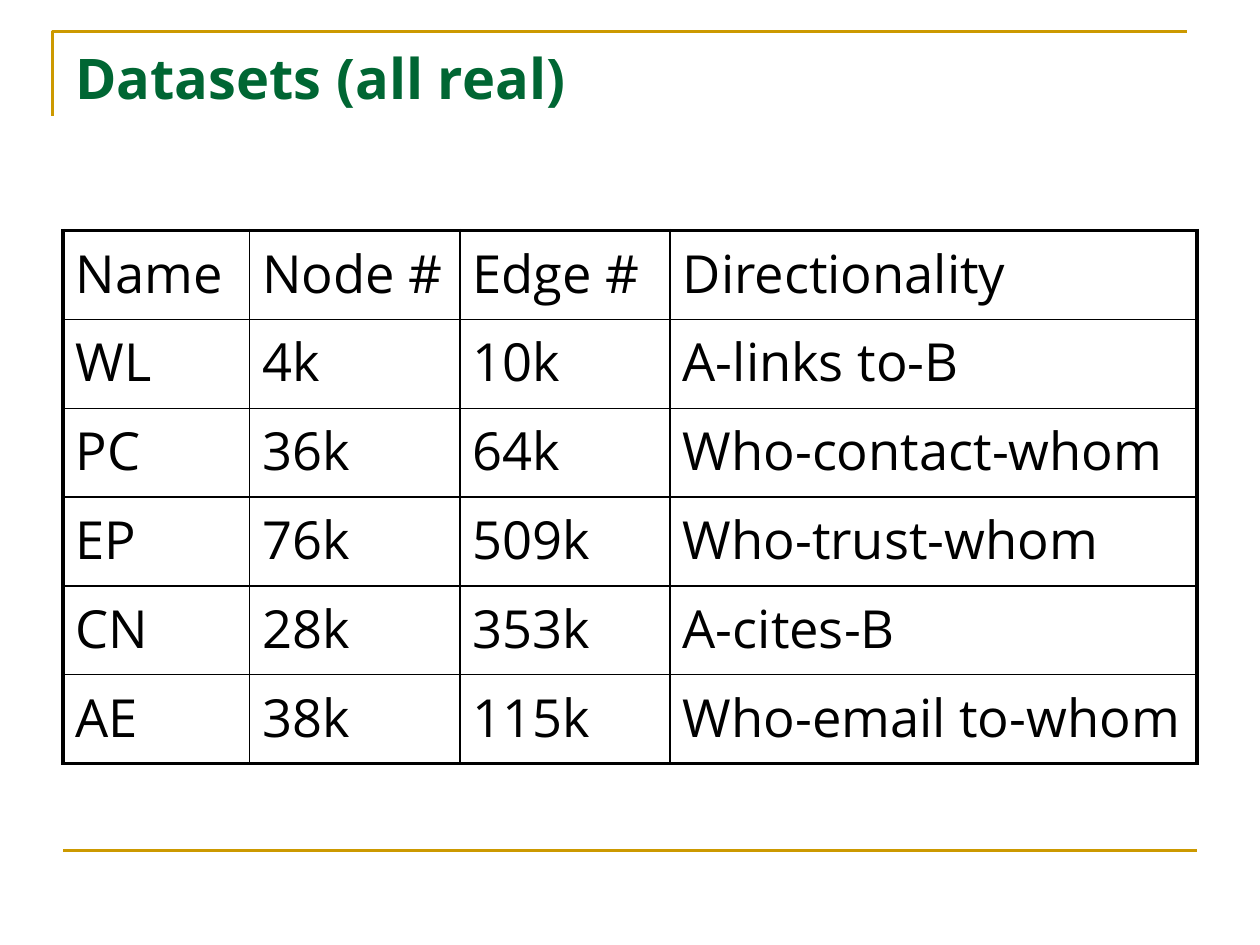
from lxml.etree import SubElement as Sub
from pptx import Presentation as Deck
from pptx.dml.color import RGBColor as Rgb
from pptx.enum.shapes import MSO_CONNECTOR as Link
from pptx.oxml.ns import qn
from pptx.util import Cm, Pt

HUES = {"gold": "CC9900", "green": "006633", "ink": "000000"}
HEAD = {"size": Pt(32), "bold": True, "name": "Open Sans"}
BODY = {"size": Pt(30), "bold": False, "name": "Open Sans"}
COLS = [3.76, 4.24, 4.24, 10.62]
TALL = 1.79
ROWS = [
    ["Name", "Node #", "Edge #", "Directionality"],
    ["WL", "4k", "10k", "A-links to-B"],
    ["PC", "36k", "64k", "Who-contact-whom"],
    ["EP", "76k", "509k", "Who-trust-whom"],
    ["CN", "28k", "353k", "A-cites-B"],
    ["AE", "38k", "115k", "Who-email to-whom"],
]


class Page:
    def __init__(self, slide):
        self.slide = slide
        self.shapes = slide.shapes
        self.thin, self.thick, self.rule = Pt(1), Pt(2.25), Pt(1.5)

    def label(self, para, text, style, hue):
        run = para.add_run()
        run.text = text
        for key, val in style.items():
            setattr(run.font, key, val)
        run.font.color.rgb = Rgb.from_string(HUES[hue])

    def ink(self, item):
        item.line.color.rgb = Rgb.from_string(HUES["gold"])
        item.line.width = self.rule

    def frame(self, points):
        """Draw an open outline through the points."""
        first, *rest = [(Cm(x), Cm(y)) for x, y in points]
        pen = self.shapes.build_freeform(*first)
        pen.add_line_segments(rest, close=False)
        form = pen.convert_to_shape()
        form.shadow.inherit = False
        form.fill.background()
        self.ink(form)

    def line(self, *ends):
        link = self.shapes.add_connector(Link.STRAIGHT, *map(Cm, ends))
        self.ink(link)
        Sub(link._element.spPr, qn("a:effectLst"))

    def title(self, text, *place):
        box = self.shapes.add_textbox(*map(Cm, place))
        box.text_frame.word_wrap = True
        self.label(box.text_frame.paragraphs[0], text, HEAD, "green")

    def edge(self, cell, sides):
        """Set cell borders from a dict of side to width."""
        props = cell._tc.get_or_add_tcPr()
        for side, width in sides.items():
            line = Sub(props, qn(f"a:ln{side}"), w=str(width))
            fill = Sub(line, qn("a:solidFill"))
            Sub(fill, qn("a:srgbClr"), val=HUES["ink"])

    def table(self, rows, cols, tall, left, top):
        high, wide = len(rows), len(cols)
        grid = self.shapes.add_table(
            high, wide, Cm(left), Cm(top), Cm(sum(cols)), Cm(tall * high)
        ).table
        grid.first_row = grid.horz_banding = False
        for col, width in zip(grid.columns, cols):
            col.width = Cm(width)
        for r, row in enumerate(rows):
            grid.rows[r].height = Cm(tall)
            for c, text in enumerate(row):
                cell = grid.cell(r, c)
                outer = {"L": c == 0, "R": c == wide - 1,
                         "T": r == 0, "B": r == high - 1}
                self.edge(cell, {side: self.thick if out else self.thin
                                 for side, out in outer.items()})
                cell.fill.background()
                self.label(cell.text_frame.paragraphs[0], text, BODY, "ink")


def main():
    deck = Deck()
    deck.slide_width, deck.slide_height = Cm(25.4), Cm(19.05)
    page = Page(deck.slides.add_slide(deck.slide_layouts[6]))
    page.frame([(1.06, 2.33), (1.06, 0.64), (23.92, 0.64)])
    page.line(1.27, 17.15, 24.13, 17.15)
    page.title("Datasets (all real)", 1.27, 0.76, 22.86, 3.18)
    page.table(ROWS, COLS, TALL, 1.27, 4.65)
    deck.save("out.pptx")


if __name__ == "__main__":
    main()
